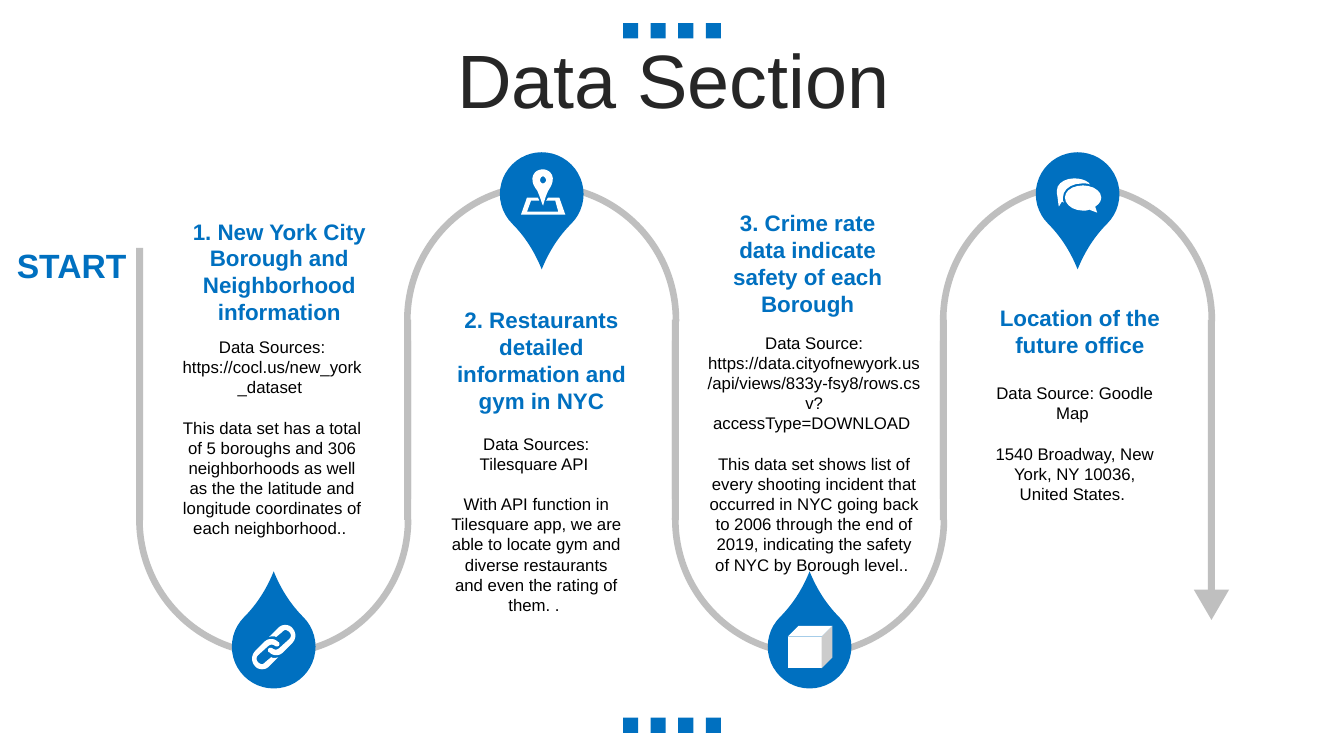
from lxml.etree import SubElement
from pptx import Presentation
from pptx.dml.color import RGBColor
from pptx.enum.shapes import MSO_SHAPE as Preset
from pptx.enum.text import MSO_ANCHOR as Anchor, MSO_AUTO_SIZE as AutoSize, PP_ALIGN as Align
from pptx.util import Inches, Pt

BLUE, GREY, WHITE, BLACK, INK = "0070C0", "BFBFBF", "FFFFFF", "000000", "262626"
SLIDE_W, SLIDE_H = 13.33, 7.5

TITLE = "Data Section"
STEPS = [
    {"heading": "1. New York City Borough and Neighborhood information",
     "heading_at": (1.81, 2.11, 1.92, 1.18),
     "details": ["Data Sources: https://cocl.us/new_york_dataset ",
                 "This data set has a total of 5 boroughs and 306 neighborhoods as well "
                 "as the the latitude and longitude coordinates of each neighborhood.. "],
     "details_at": (1.67, 3.29, 2.06, 2.12), "icon": "link"},
    {"heading": "2. Restaurants detailed information and gym in NYC",
     "heading_at": (4.41, 2.99, 1.92, 1.18),
     "details": ["Data Sources: Tilesquare API ",
                 "With API function in Tilesquare app, we are able to locate gym and "
                 "diverse restaurants and even the rating of them. . "],
     "details_at": (4.36, 4.25, 1.92, 1.92), "icon": "map"},
    {"heading": "3. Crime rate data indicate safety of each Borough",
     "heading_at": (7.05, 2.03, 1.92, 1.18),
     "details": ["Data Source: https://data.cityofnewyork.us/api/views/833y-fsy8/"
                 "rows.csv?accessType=DOWNLOAD ",
                 "This data set shows list of every shooting incident that occurred in "
                 "NYC going back to 2006 through the end of 2019, indicating the safety "
                 "of NYC by Borough level.. "],
     "details_at": (6.92, 3.25, 2.31, 2.52), "icon": "box"},
    {"heading": "Location of the future office",
     "heading_at": (9.75, 2.97, 1.92, 0.64),
     "details": ["Data Source: Goodle Map ",
                 "1540 Broadway, New York, NY 10036, United States. "],
     "details_at": (9.7, 3.75, 1.92, 1.31), "icon": "chat"},
]

CHAIN_LINK = ("M 19 14 C 22 14 24 15 26 17 C 27 17 27 18 27 18 C 28 21 25 22 23 21 "
              "C 21 19 18 19 16 21 L 6 30 C 4 32 4 35 6 37 C 7 38 9 39 10 39 "
              "C 11 39 12 38 13 37 L 19 32 C 20 33 24 33 26 32 L 17 41 "
              "C 15 43 13 44 10 44 C 7 44 5 43 3 41 C -1 37 -1 30 3 26 L 12 17 "
              "C 14 15 16 14 19 14")
MAP_MARKER = ("M 6 28 L 17 28 C 17 29 18 30 18 31 L 10 31 L 6 42 L 37 42 L 34 31 L 25 31 "
              "C 26 30 26 29 27 28 L 38 28 L 44 45 L 0 45 "
              "M 22 7 C 20 7 19 9 19 11 C 19 12 20 14 22 14 C 23 14 25 12 25 11 "
              "C 25 9 23 7 22 7 "
              "M 22 0 C 24 0 27 1 29 3 C 33 7 32 13 29 18 C 25 23 22 36 22 36 "
              "C 21 36 18 22 14 18 C 11 14 10 7 14 3 C 16 1 19 0 22 0")
CHAT_BUBBLES = ("M 26 7 C 35 7 44 12 44 19 C 44 23 41 26 38 28 L 40 34 L 32 31 "
                "C 30 32 28 32 26 32 C 16 32 8 26 8 19 C 8 12 16 7 26 7 "
                "M 17 0 C 24 0 30 2 33 6 C 31 5 28 5 25 5 C 14 5 6 11 6 19 "
                "C 6 20 6 21 6 22 C 6 22 7 24 7 24 L 5 23 L 2 28 C 1 24 1 19 0 15 "
                "C 0 14 0 13 0 12 C 0 5 8 0 17 0")

DOT, DOT_LEFT, DOT_STEP, DOT_TOP = 0.15, 6.18, 0.82 / 3, 0.23
ROAD_LEFT, ROAD_STEP, ROAD_WIDTH = 1.35, 10.63 / 4, 0.07
ARC, ARC_TOP, ARC_LOW = 2.73, 1.81, 3.79
RAIL, END_RAIL, RAIL_TOP, RAIL_BOTTOM = 1.78, 2.7, 3.17, 5.16
PIN, PIN_TOP, PIN_LOW = 0.83, 1.51, 6.0

prs = Presentation()
prs.slide_width, prs.slide_height = Inches(SLIDE_W), Inches(SLIDE_H)
slide = prs.slides.add_slide(prs.slide_layouts[5])


def color(hex_code):
    return RGBColor.from_string(hex_code)


def paint(shape, fill):
    shape.fill.solid()
    shape.fill.fore_color.rgb = color(fill)
    shape.line.fill.background()
    shape.shadow.inherit = False
    return shape


def add_preset(preset, box, fill, rotation=0, adjust=()):
    shape = paint(slide.shapes.add_shape(preset, *map(Inches, box)), fill)
    shape.rotation = rotation
    for index, value in enumerate(adjust):
        shape.adjustments[index] = value
    return shape


def write(paragraphs, box, size, ink, bold=False, anchor=Anchor.TOP, holder=None,
          fit=AutoSize.NONE, gap=0, spacing=None):
    holder = holder or slide.shapes.add_textbox(0, 0, 0, 0)
    holder.left, holder.top, holder.width, holder.height = map(Inches, box)
    frame = holder.text_frame
    frame.word_wrap, frame.vertical_anchor, frame.auto_size = True, anchor, fit
    for index, text in enumerate(paragraphs):
        paragraph = frame.add_paragraph() if index else frame.paragraphs[0]
        paragraph.alignment = Align.CENTER
        paragraph.line_spacing = spacing
        paragraph.space_before = Pt(gap if index else 0)
        run = paragraph.add_run()
        run.text = text
        run.font.name, run.font.size, run.font.bold = "Arial", Pt(size), bold
        run.font.color.rgb = color(ink)


def outline(commands):
    contours = []
    for contour in commands.split("M ")[1:]:
        points = []
        for segment in contour.replace("L ", "|L ").replace("C ", "|C ").split("|"):
            numbers = [float(n) for n in segment.split() if n not in "LC"]
            pairs = list(zip(numbers[::2], numbers[1::2]))
            if len(pairs) == 1:
                points += pairs
                continue
            a, b, c, d = points[-1], *pairs
            for t in (0.2, 0.4, 0.6, 0.8, 1):
                u = 1 - t
                points.append(tuple(u**3 * a[k] + 3 * u * u * t * b[k]
                                    + 3 * u * t * t * c[k] + t**3 * d[k] for k in (0, 1)))
        contours.append(points)
    return contours


def add_icon(contours, left, top):
    placed = [[(Inches(left + x / 100), Inches(top + y / 100)) for x, y in contour]
              for contour in contours]
    builder = slide.shapes.build_freeform(*placed[0][0], scale=1.0)
    for index, contour in enumerate(placed):
        if index:
            builder.move_to(*contour[0])
        builder.add_line_segments(contour[1:], close=True)
    paint(builder.convert_to_shape(), WHITE)


link_half = outline(CHAIN_LINK)[0]
ICONS = {
    "link": ([link_half, [(43 - x, 44 - y) for x, y in link_half]], 0.2, 0.2),
    "map": (outline(MAP_MARKER), 0.21, 0.17),
    "chat": (outline(CHAT_BUBBLES), 0.21, 0.26),
}

for dot_top in (DOT_TOP, SLIDE_H - DOT_TOP - DOT):
    for column in range(4):
        add_preset(Preset.RECTANGLE, (DOT_LEFT + column * DOT_STEP, dot_top, DOT, DOT), BLUE)

write([TITLE], (0.35, 0.44, 12.66, 0.79), 54, INK, anchor=Anchor.MIDDLE,
      holder=slide.shapes.title, spacing=0.9)

last = len(STEPS) - 1
for number, step in enumerate(STEPS):
    low = number % 2 == 0
    left = ROAD_LEFT + number * ROAD_STEP
    add_preset(Preset.BLOCK_ARC, (left, ARC_LOW if low else ARC_TOP, ARC, ARC), GREY,
               180 if low else 0, (108, 0.356, 0.024))
    for side in (0, 1):
        length = END_RAIL if number + side in (0, last + 1) else RAIL
        rail_top = RAIL_BOTTOM - length if low else RAIL_TOP
        add_preset(Preset.RECTANGLE, (left + side * ROAD_STEP, rail_top, ROAD_WIDTH, length), GREY)

write(["START"], (-0.03, 2.41, 1.48, 0.44), 24, BLUE, bold=True, anchor=Anchor.MIDDLE)
add_preset(Preset.ISOSCELES_TRIANGLE, (11.84, 5.85, 0.35, 0.3), GREY, 180)

for number, step in enumerate(STEPS):
    low = number % 2 == 0
    pin_left = ROAD_LEFT + number * ROAD_STEP + (ARC - PIN) / 2
    pin_top = PIN_LOW if low else PIN_TOP
    add_preset(Preset.TEAR, (pin_left, pin_top, PIN, PIN), BLUE, 315 if low else 135, (1.273,))
    if step["icon"] in ICONS:
        contours, dx, dy = ICONS[step["icon"]]
        add_icon(contours, pin_left + dx, pin_top + dy)
    else:
        add_preset(Preset.CUBE, (pin_left + 0.2, pin_top + 0.21, 0.44, 0.42), WHITE)
    write(step["details"], step["details_at"], 12, BLACK, fit=AutoSize.SHAPE_TO_FIT_TEXT, gap=14.4)
    write([step["heading"]], step["heading_at"], 16, BLUE, bold=True,
          fit=AutoSize.SHAPE_TO_FIT_TEXT)

prs.save("out.pptx")
